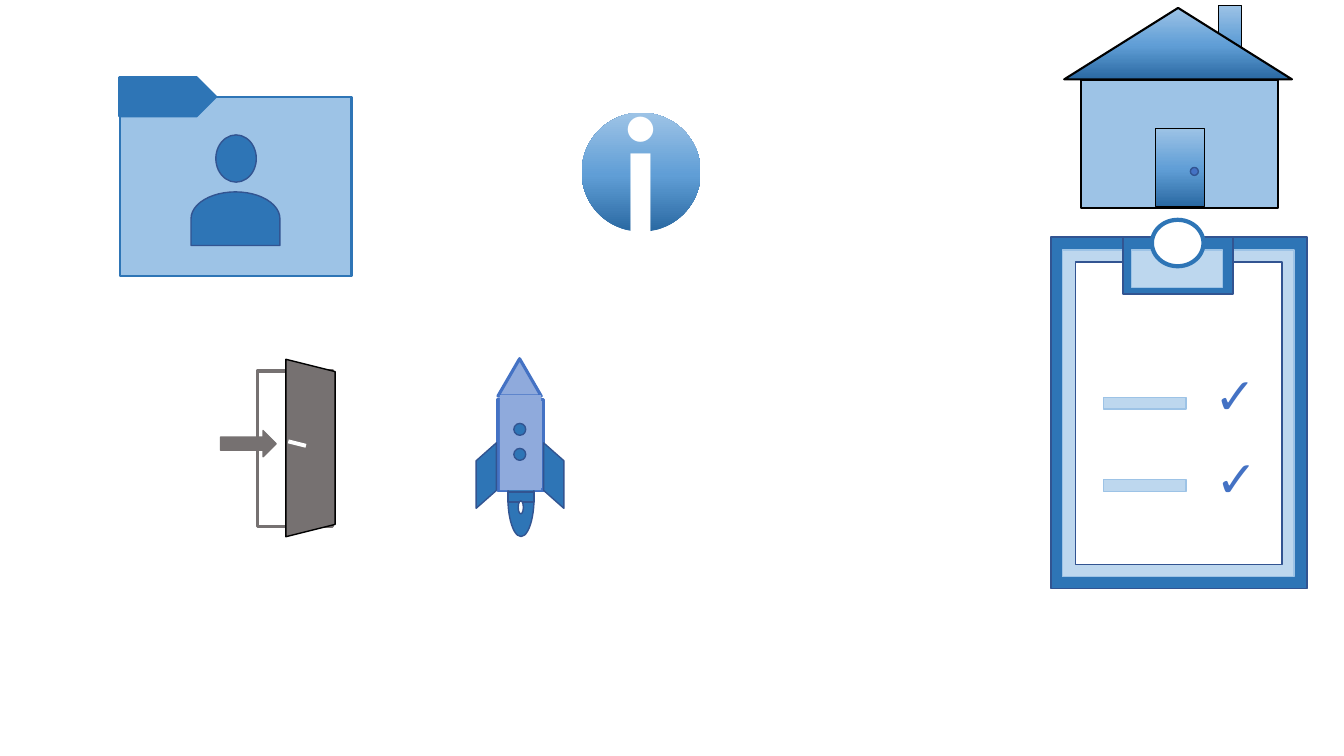
from copy import deepcopy

from pptx import Presentation
from pptx.dml.color import RGBColor
from pptx.enum.shapes import MSO_SHAPE
from pptx.enum.text import MSO_ANCHOR, PP_ALIGN
from pptx.oxml.ns import qn
from pptx.util import Cm, Pt

COLORS = {
    "blue": "2E75B6",
    "outline": "325491",
    "accent": "4472C4",
    "sky": "9DC3E6",
    "pale": "BDD7EE",
    "lavender": "8FAADC",
    "grey": "767171",
    "black": "000000",
    "white": "FFFFFF",
    "shade_dark": "2A69A2",
    "shade_middle": "609ED6",
}
SHADE = [(0, "shade_dark"), (0.48, "shade_middle"), (1, "sky")]


def color(name):
    return RGBColor.from_string(COLORS[name])


def draw(shapes, kind, box, fill, line=None, width=1, rotation=0):
    shape = shapes.add_shape(kind, *[Cm(length) for length in box])
    shape.shadow.inherit = False
    shape.rotation = rotation
    if fill == "shade":
        shape.fill.gradient()
        shape.fill.gradient_angle = 90
        stop_list = shape._element.spPr.find(qn("a:gradFill")).find(qn("a:gsLst"))
        stop_list.insert(1, deepcopy(stop_list[0]))
        for stop, (position, name) in zip(shape.fill.gradient_stops, SHADE):
            stop.position = position
            stop.color.rgb = color(name)
    elif fill:
        shape.fill.solid()
        shape.fill.fore_color.rgb = color(fill)
    else:
        shape.fill.background()
    if line:
        shape.line.color.rgb = color(line)
        shape.line.width = Pt(width)
    else:
        shape.line.fill.background()
    return shape


presentation = Presentation()
presentation.slide_width = Cm(33.87)
presentation.slide_height = Cm(19.05)
slide = presentation.slides.add_slide(presentation.slide_layouts[6])

clipboard = slide.shapes.add_group_shape().shapes
for box, fill, line in [
    ((26.49, 5.97, 6.45, 8.86), "blue", "outline"),
    ((26.77, 6.3, 5.84, 8.23), "pale", "sky"),
    ((27.1, 6.6, 5.21, 7.62), "white", "outline"),
    ((27.81, 10.01, 2.08, 0.3), "pale", "sky"),
    ((27.81, 12.09, 2.08, 0.3), "pale", "sky"),
    ((28.3, 5.99, 2.77, 1.42), "blue", "outline"),
    ((28.52, 6.3, 2.29, 0.94), "pale", "sky"),
]:
    draw(clipboard, MSO_SHAPE.RECTANGLE, box, fill, line)
draw(clipboard, MSO_SHAPE.OVAL, (29.03, 5.54, 1.3, 1.17), "white", "blue", 3)
for left, top in [(30.35, 9.04), (30.38, 11.15)]:
    check = clipboard.add_textbox(Cm(left), Cm(top), Cm(1.55), Cm(1.8))
    check.text_frame.word_wrap = True
    paragraph = check.text_frame.paragraphs[0]
    paragraph.text = "✓"
    paragraph.font.name = "Calibri"
    paragraph.font.size = Pt(36)
    paragraph.font.color.rgb = color("accent")

info = draw(slide.shapes, MSO_SHAPE.OVAL, (14.66, 2.84, 3, 3), "shade")
info.text_frame.vertical_anchor = MSO_ANCHOR.MIDDLE
paragraph = info.text_frame.paragraphs[0]
paragraph.text = "i"
paragraph.alignment = PP_ALIGN.CENTER
paragraph.font.name = "Lato"
paragraph.font.size = Pt(115)
paragraph.font.bold = True
paragraph.font.color.rgb = color("white")

house = slide.shapes.add_group_shape().shapes
draw(house, MSO_SHAPE.RECTANGLE, (30.71, 0.13, 0.58, 1.8), "shade", "black", 0.75)
draw(house, MSO_SHAPE.RECTANGLE, (27.25, 2.01, 4.95, 3.23), "sky", "black", 1.5)
draw(house, MSO_SHAPE.ISOSCELES_TRIANGLE, (26.82, 0.2, 5.74, 1.8), "shade", "black", 1.5)
draw(house, MSO_SHAPE.RECTANGLE, (29.13, 3.23, 1.22, 1.98), "shade", "black", 0.75)
draw(house, MSO_SHAPE.OVAL, (30, 4.22, 0.2, 0.2), "accent", "outline")

folder = slide.shapes.add_group_shape().shapes
draw(folder, MSO_SHAPE.RECTANGLE, (3.02, 2.44, 5.84, 4.52), "sky", "blue", 1.5)
draw(folder, MSO_SHAPE.OVAL, (5.44, 3.4, 1.02, 1.19), "blue", "outline")
draw(folder, MSO_SHAPE.FLOWCHART_DELAY, (5.26, 4.39, 1.35, 2.24), "blue", "outline", rotation=270)
tab = draw(folder, MSO_SHAPE.SNIP_2_SAME_RECTANGLE, (3.73, 1.22, 0.99, 2.44), "blue", "blue", 1.5, 90)
tab.adjustments[0] = 0.5
tab.adjustments[1] = 0

entrance = slide.shapes.add_group_shape().shapes
draw(entrance, MSO_SHAPE.RECTANGLE, (6.48, 9.35, 1.91, 3.91), None, "grey", 2.25)
draw(entrance, MSO_SHAPE.TRAPEZOID, (5.59, 10.67, 4.47, 1.24), "grey", "black", rotation=90)
draw(entrance, MSO_SHAPE.RIGHT_ARROW, (5.56, 10.85, 1.4, 0.66), "grey", "grey")
draw(entrance, MSO_SHAPE.RECTANGLE, (7.26, 11.13, 0.46, 0.1), "white", rotation=14.1)

rocket = slide.shapes.add_group_shape().shapes
draw(rocket, MSO_SHAPE.ISOSCELES_TRIANGLE, (12.55, 9.04, 1.09, 0.94), "lavender", "accent", 2.25)
draw(rocket, MSO_SHAPE.RECTANGLE, (12.55, 10.06, 1.14, 2.29), "lavender", "accent", 2.25)
for left, rotation in [(11.43, 270), (13.13, 90)]:
    fin = draw(rocket, MSO_SHAPE.PARALLELOGRAM, (left, 11.73, 1.65, 0.51), "blue", "outline", rotation=rotation)
    fin.adjustments[0] = 0.886
    if rotation == 270:
        fin._element.spPr.xfrm.set("flipV", "1")
draw(rocket, MSO_SHAPE.OVAL, (12.8, 11.56, 0.66, 1.96), "blue", "outline")
draw(rocket, MSO_SHAPE.RECTANGLE, (12.8, 12.4, 0.66, 0.25), "blue", "outline")
draw(rocket, MSO_SHAPE.OVAL, (13.06, 12.62, 0.13, 0.33), "white", "outline")
draw(rocket, MSO_SHAPE.RECTANGLE, (12.6, 9.96, 1.04, 2.39), "lavender")
for top in (10.67, 11.3):
    draw(rocket, MSO_SHAPE.OVAL, (12.95, top, 0.3, 0.3), "blue", "outline")

presentation.save("out.pptx")
